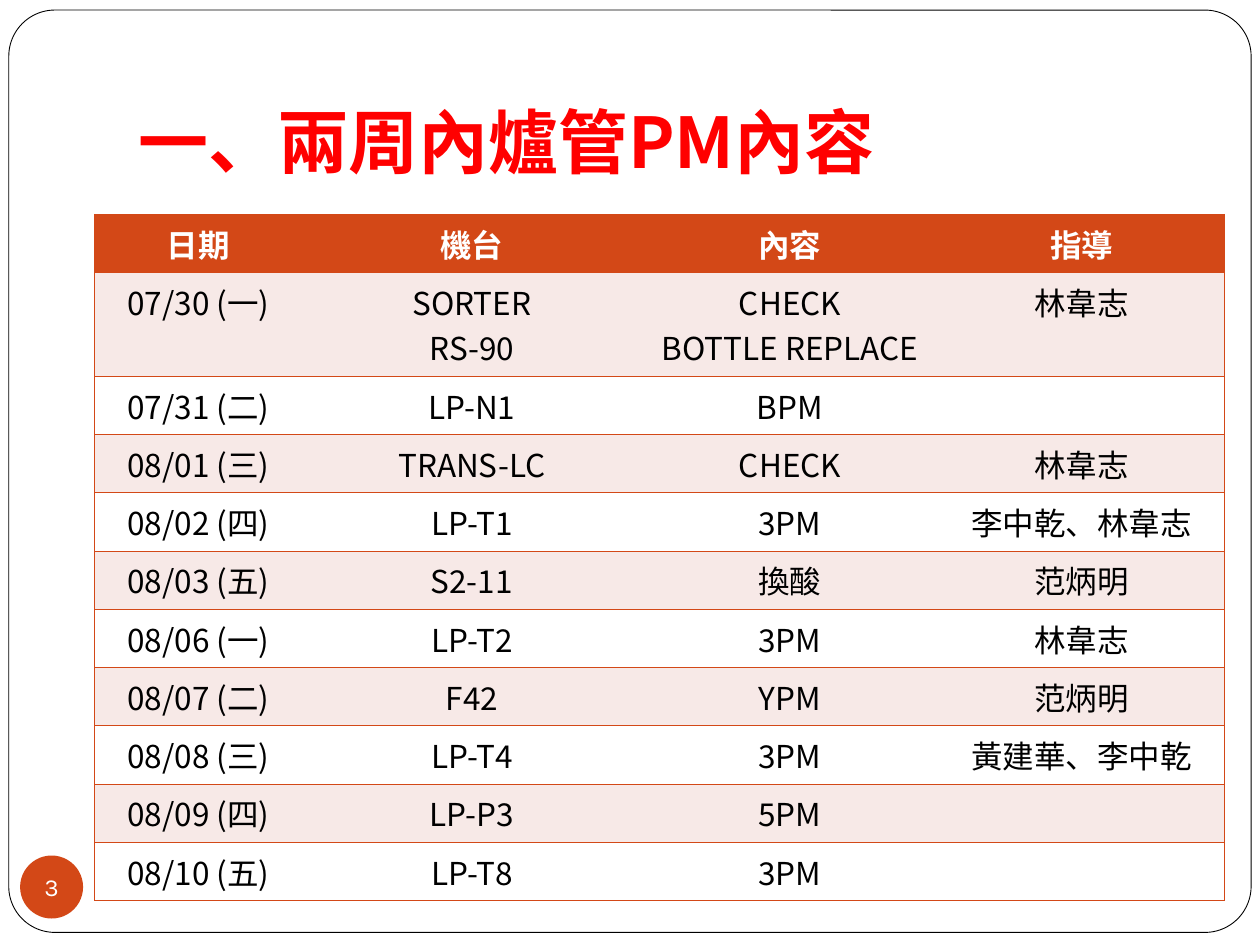
"""Build the slide listing two weeks of furnace PM work as a table."""
from dataclasses import dataclass

from lxml.etree import SubElement
from pptx import Presentation
from pptx.dml.color import RGBColor
from pptx.enum.shapes import MSO_SHAPE
from pptx.enum.text import MSO_ANCHOR, PP_ALIGN
from pptx.oxml import parse_xml
from pptx.oxml.ns import nsdecls, qn
from pptx.util import Inches, Pt


@dataclass(frozen=True)
class Theme:
    accent: str = "D34817"
    band: str = "F7E9E7"
    white: str = "FFFFFF"
    black: str = "000000"
    red: str = "FF0000"
    font: str = "Noto Sans CJK SC"
    number_font: str = "Karla"
    title_size: int = 40
    table_size: int = 18
    number_size: int = 14
    border: float = 0.45
    plain_style: str = "{2D5ABB26-0587-4C30-8999-92F81FD0307C}"


theme = Theme()


def format_text(text_frame, size, color, bold=False, name=theme.font, align=PP_ALIGN.CENTER):
    """Apply one font and alignment to every paragraph."""
    for paragraph in text_frame.paragraphs:
        paragraph.alignment = align
        font = paragraph.font
        font.size, font.bold, font.name = Pt(size), bold, name
        font.color.rgb = RGBColor.from_string(color)
        properties = paragraph._p.pPr.find(qn("a:defRPr"))
        SubElement(properties, qn("a:ea")).set("typeface", name)


def add_border(cell, edges):
    """Draw accent lines on the given edges of a cell."""
    properties = cell._tc.get_or_add_tcPr()
    for position, edge in enumerate(edges):
        properties.insert(position, parse_xml(
            f'<a:{edge} {nsdecls("a")} w="{int(Pt(theme.border))}"><a:solidFill>'
            f'<a:srgbClr val="{theme.accent}"/></a:solidFill></a:{edge}>'))


rows = [
    ("日期", "機台", "內容", "指導"),
    ("07/30 (一)", "SORTER\nRS-90", "CHECK\nBOTTLE REPLACE", "林韋志"),
    ("07/31 (二)", "LP-N1", "BPM", ""),
    ("08/01 (三)", "TRANS-LC", "CHECK", "林韋志"),
    ("08/02 (四)", "LP-T1", "3PM", "李中乾、林韋志"),
    ("08/03 (五)", "S2-11", "換酸", "范炳明"),
    ("08/06 (一)", "LP-T2", "3PM", "林韋志"),
    ("08/07 (二)", "F42", "YPM", "范炳明"),
    ("08/08 (三)", "LP-T4", "3PM", "黃建華、李中乾"),
    ("08/09 (四)", "LP-P3", "5PM", ""),
    ("08/10 (五)", "LP-T8", "3PM", ""),
]
column_widths = [1.65, 2.69, 2.36, 2.27]
row_heights = [0.7 if "\n" in row[1] else 0.4 for row in rows]

presentation = Presentation()
presentation.slide_width, presentation.slide_height = Inches(10), Inches(7.5)
slide = presentation.slides.add_slide(presentation.slide_layouts[5])

frame = slide.shapes.add_shape(
    MSO_SHAPE.ROUNDED_RECTANGLE, Inches(0.07), Inches(0.08), Inches(9.86), Inches(7.32))
frame.adjustments[0] = 0.05
frame.shadow.inherit = False
frame.fill.solid()
frame.fill.fore_color.rgb = RGBColor.from_string(theme.white)
frame.line.color.rgb = RGBColor.from_string(theme.black)
frame.line.width = Pt(0.5)
slide.shapes._spTree.insert(2, frame._element)

title = slide.shapes.title
title.left, title.top, title.width, title.height = map(Inches, (1, 0.3, 8.5, 1.25))
title.text_frame.text = "一、兩周內爐管PM內容"
title.text_frame.vertical_anchor = MSO_ANCHOR.BOTTOM
title.text_frame.margin_bottom = Inches(0.1)
format_text(title.text_frame, theme.title_size, theme.red, bold=True, align=PP_ALIGN.LEFT)

table = slide.shapes.add_table(
    len(rows), len(column_widths), Inches(0.75), Inches(1.7),
    Inches(sum(column_widths)), Inches(sum(row_heights))).table
table._tbl.tblPr.find(qn("a:tableStyleId")).text = theme.plain_style
for column, width in zip(table.columns, column_widths):
    column.width = Inches(width)
for row_index, (row, height) in enumerate(zip(rows, row_heights)):
    table.rows[row_index].height = Inches(height)
    header = row_index == 0
    fill = theme.accent if header else theme.band if row_index % 2 else theme.white
    for column_index, text in enumerate(row):
        cell = table.cell(row_index, column_index)
        cell.text = text
        cell.fill.solid()
        cell.fill.fore_color.rgb = RGBColor.from_string(fill)
        format_text(cell.text_frame, theme.table_size,
                    theme.white if header else theme.black, bold=header)
        left = ["lnL"] if column_index == 0 else []
        right = ["lnR"] if column_index == len(row) - 1 else []
        add_border(cell, left + right + ["lnT", "lnB"])

badge = slide.shapes.add_shape(
    MSO_SHAPE.OVAL, Inches(0.16), Inches(6.79), Inches(0.5), Inches(0.5))
badge.shadow.inherit = False
badge.fill.solid()
badge.fill.fore_color.rgb = RGBColor.from_string(theme.accent)
badge.line.fill.background()
number = badge.text_frame
number.text = "3"
number.word_wrap = False
number.vertical_anchor = MSO_ANCHOR.MIDDLE
number.margin_left = number.margin_right = number.margin_top = number.margin_bottom = 0
format_text(number, theme.number_size, theme.white, name=theme.number_font)

presentation.save("out.pptx")
